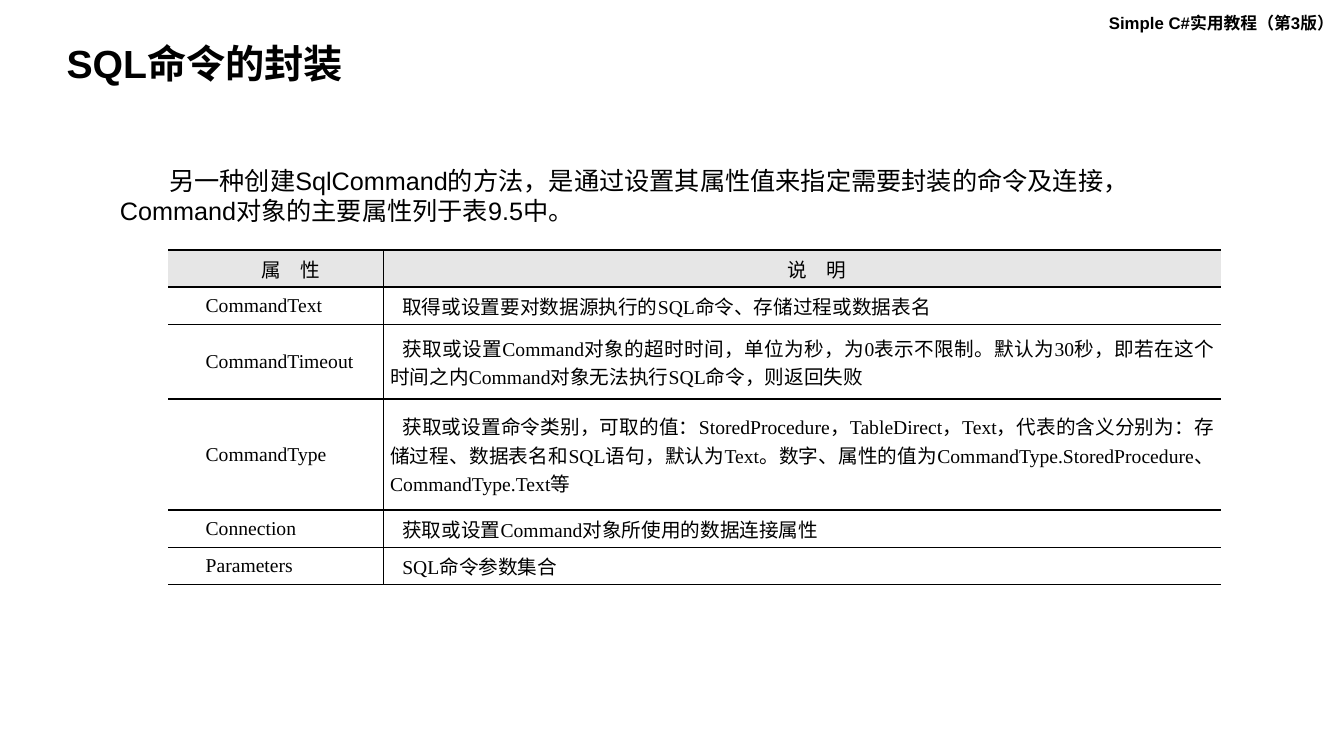
import pptx
import pptx.dml.color
import pptx.enum.text
import pptx.oxml
import pptx.oxml.ns
import pptx.util
from pptx.util import Inches

BLACK = pptx.dml.color.RGBColor(0x00, 0x00, 0x00)
HEADER_GRAY = pptx.dml.color.RGBColor(0xE6, 0xE6, 0xE6)
ALIGN = pptx.enum.text.PP_ALIGN
ANCHOR = pptx.enum.text.MSO_ANCHOR
AUTO_SIZE = pptx.enum.text.MSO_AUTO_SIZE

COLUMN_WIDTHS = [2.13, 8.31]
ROW_HEIGHTS = [0.37, 0.37, 0.74, 1.1, 0.37, 0.37]
HEADERS = ["属　性", "说　明"]
PROPERTIES = [
    ("CommandText", "取得或设置要对数据源执行的SQL命令、存储过程或数据表名"),
    ("CommandTimeout", "获取或设置Command对象的超时时间，单位为秒，为0表示不限制。"
     "默认为30秒，即若在这个时间之内Command对象无法执行SQL命令，则返回失败"),
    ("CommandType", "获取或设置命令类别，可取的值：StoredProcedure，TableDirect，Text，"
     "代表的含义分别为：存储过程、数据表名和SQL语句，默认为Text。"
     "数字、属性的值为CommandType.StoredProcedure、CommandType.Text等"),
    ("Connection", "获取或设置Command对象所使用的数据连接属性"),
    ("Parameters", "SQL命令参数集合"),
]


def write_text(text_frame, text, size, font="Arial", bold=False, align=ALIGN.LEFT, indent=0):
    """Fill a frame with one paragraph; indent is the first-line indent in inches."""
    text_frame.text = text
    text_frame.word_wrap = True
    paragraph = text_frame.paragraphs[0]
    paragraph.alignment = align
    paragraph._p.get_or_add_pPr().set("indent", str(Inches(indent)))
    for run in paragraph.runs:
        run.font.name = font
        run.font.size = pptx.util.Pt(size)
        run.font.bold = bold
        run.font.color.rgb = BLACK
    return paragraph


def add_title(slide, text):
    title = slide.shapes.title
    title.left, title.top = Inches(0.56), Inches(0.39)
    title.width, title.height = Inches(6.99), Inches(0.52)
    paragraph = write_text(title.text_frame, text, 28, bold=True)
    paragraph.line_spacing = 0.9
    title.text_frame.vertical_anchor = ANCHOR.MIDDLE
    title.text_frame.auto_size = AUTO_SIZE.NONE


def add_text(slide, left, top, width, height, text, size, **style):
    box = slide.shapes.add_textbox(Inches(left), Inches(top), Inches(width), Inches(height))
    write_text(box.text_frame, text, size, **style)
    box.text_frame.auto_size = AUTO_SIZE.SHAPE_TO_FIT_TEXT


def set_borders(cell, widths):
    """Set left, right, top and bottom border widths in points; 0 hides a border."""
    properties = cell._tc.get_or_add_tcPr()
    for side, width in zip("LRTB", widths):
        fill = f'<a:solidFill><a:srgbClr val="{BLACK}"/></a:solidFill>' if width else "<a:noFill/>"
        properties.append(pptx.oxml.parse_xml(
            f'<a:ln{side} {pptx.oxml.ns.nsdecls("a")} w="{int(pptx.util.Pt(width))}">'
            f"{fill}</a:ln{side}>"))


def format_cell(cell, row, column, text):
    is_header = row == 0
    divider = 1
    top = 1.5 if row < 2 else 1
    bottom = 1.5 if is_header else 1
    set_borders(cell, (divider * column, divider * (1 - column), top, bottom))
    if is_header:
        cell.fill.solid()
        cell.fill.fore_color.rgb = HEADER_GRAY
    else:
        cell.fill.background()
    cell.margin_left = cell.margin_right = Inches(0.07)
    cell.margin_top = cell.margin_bottom = 0
    cell.vertical_anchor = ANCHOR.MIDDLE
    write_text(cell.text_frame, text, 14, font="Times New Roman",
               align=ALIGN.CENTER if is_header else ALIGN.JUSTIFY,
               indent=0.12 if column and not is_header else 0.3)


def add_property_table(slide):
    rows = [HEADERS, *PROPERTIES]
    table = slide.shapes.add_table(
        len(rows), len(HEADERS), Inches(1.67), Inches(2.48),
        Inches(sum(COLUMN_WIDTHS)), Inches(sum(ROW_HEIGHTS))).table
    table.first_row = table.horz_banding = False
    for column, width in zip(table.columns, COLUMN_WIDTHS):
        column.width = Inches(width)
    for row, height in zip(table.rows, ROW_HEIGHTS):
        row.height = Inches(height)
    for row, texts in enumerate(rows):
        for column, text in enumerate(texts):
            format_cell(table.cell(row, column), row, column, text)
    for row in (2, 3):
        paragraph = table.cell(row, 1).text_frame.paragraphs[0]
        paragraph.space_after = pptx.util.Pt(3)


def main():
    presentation = pptx.Presentation()
    presentation.slide_width, presentation.slide_height = Inches(13.33), Inches(7.5)
    slide = presentation.slides.add_slide(presentation.slide_layouts.get_by_name("Title Only"))
    add_text(slide, 10.9, 0.08, 2.44, 0.3, "Simple C#实用教程（第3版）", 12, bold=True)
    add_title(slide, "SQL命令的封装")
    add_text(slide, 1.09, 1.59, 11.02, 0.71,
             "另一种创建SqlCommand的方法，是通过设置其属性值来指定需要封装的命令及连接，"
             "Command对象的主要属性列于表9.5中。", 18, indent=0.49)
    add_property_table(slide)
    presentation.save("out.pptx")


if __name__ == "__main__":
    main()
